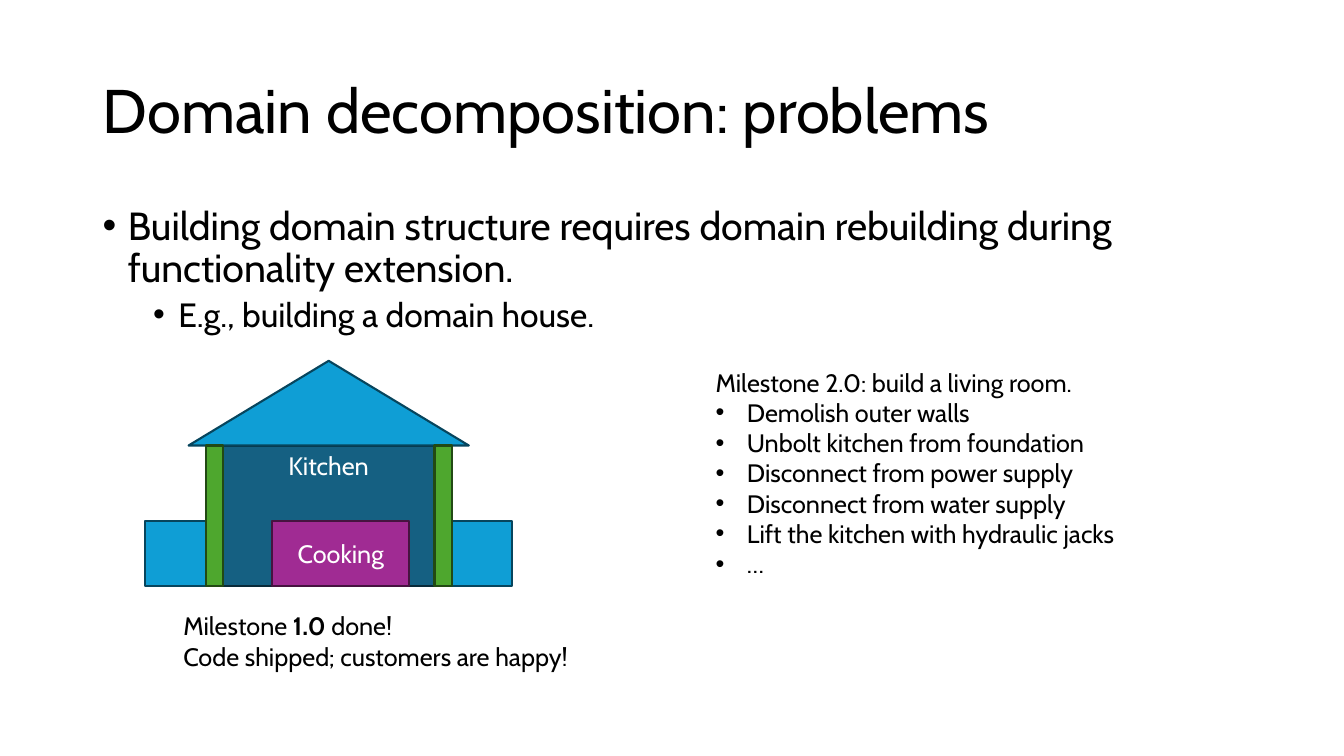
from lxml.etree import SubElement
from pptx import Presentation
from pptx.dml.color import RGBColor
from pptx.enum.shapes import MSO_SHAPE
from pptx.enum.text import MSO_ANCHOR, PP_ALIGN
from pptx.oxml.ns import qn
from pptx.util import Emu, Inches, Pt

FONT = "Cabin"
BLACK = RGBColor(0x00, 0x00, 0x00)
WHITE = RGBColor(0xFF, 0xFF, 0xFF)
# Each part of the house has a fill and an outline
SKY = RGBColor(0x0F, 0x9E, 0xD5), RGBColor(0x07, 0x45, 0x5D)
TEAL = RGBColor(0x15, 0x60, 0x82), RGBColor(0x09, 0x2A, 0x39)
GREEN = RGBColor(0x4E, 0xA7, 0x2E), RGBColor(0x22, 0x49, 0x14)
PURPLE = RGBColor(0xA0, 0x2B, 0x93), RGBColor(0x46, 0x13, 0x40)


def format_runs(paragraph, size, color=BLACK):
    for run in paragraph.runs:
        run.font.name = FONT
        run.font.size = Pt(size)
        run.font.color.rgb = color


def add_bullet(paragraph, margin, hanging):
    properties = paragraph._p.get_or_add_pPr()
    properties.set("marL", str(Inches(margin)))
    properties.set("indent", str(-Inches(hanging)))
    SubElement(properties, qn("a:buFont")).set("typeface", "Arial")
    SubElement(properties, qn("a:buChar")).set("char", "•")


def add_text(slide, box, lines):
    frame = slide.shapes.add_textbox(*map(Inches, box)).text_frame
    frame.word_wrap = True
    frame.text = "\n".join(lines)
    return frame.paragraphs


def add_part(slide, box, colors, label="", anchor=MSO_ANCHOR.MIDDLE,
             outline=MSO_SHAPE.RECTANGLE):
    part = slide.shapes.add_shape(outline, *map(Inches, box))
    part.shadow.inherit = False
    fill, line = colors
    part.fill.solid()
    part.fill.fore_color.rgb = fill
    part.line.color.rgb = line
    part.line.width = Pt(1.5)
    if label:
        part.text_frame.text = label
        part.text_frame.vertical_anchor = anchor
        caption = part.text_frame.paragraphs[0]
        caption.alignment = PP_ALIGN.CENTER
        format_runs(caption, 18, WHITE)


def add_title(slide, box, text):
    title = slide.shapes.title
    title.left, title.top, title.width, title.height = map(Inches, box)
    title.text_frame.text = text
    title.text_frame.vertical_anchor = MSO_ANCHOR.MIDDLE
    heading = title.text_frame.paragraphs[0]
    heading.alignment = PP_ALIGN.LEFT
    heading.line_spacing = 0.9
    format_runs(heading, 44)


def add_statement(slide, box):
    claim, example = add_text(slide, box, [
        "Building domain structure requires domain rebuilding during "
        "functionality extension.",
        "E.g., building a domain house.",
    ])
    example.level = 1
    example.space_before = Pt(5)
    for paragraph, margin, size in (claim, 0.25, 28), (example, 0.75, 24):
        add_bullet(paragraph, margin, 0.25)
        paragraph.line_spacing = 0.9
        format_runs(paragraph, size)


def add_house(slide, box):
    left, top, width, height = box
    center, ground = left + width / 2, top + height
    wing, wall, eaves = 0.6, 0.17, 0.17
    roof_height, low_height = 0.84, 0.64
    wall_top, wall_height = top + roof_height, height - roof_height
    low_top = ground - low_height
    wall_left, wall_right = left + wing, left + width - wing

    # Foundation wings beside the house
    for wing_left in (wall_right, left):
        add_part(slide, (wing_left, low_top, wing, low_height), SKY)
    # Kitchen under the roof
    add_part(slide, (wall_left + wall, wall_top,
                     width - 2 * (wing + wall), wall_height),
             TEAL, "Kitchen", MSO_ANCHOR.TOP)
    add_part(slide, (wall_left - eaves, top,
                     width - 2 * (wing - eaves), roof_height),
             SKY, outline=MSO_SHAPE.ISOSCELES_TRIANGLE)
    # Outer walls
    for outer_left in (wall_right - wall, wall_left):
        add_part(slide, (outer_left, wall_top, wall, wall_height), GREEN)
    # Cooking inside the kitchen
    cooking = 1.36
    add_part(slide, (center + 0.12 - cooking / 2, low_top, cooking, low_height),
             PURPLE, "Cooking")


def add_first_milestone(slide, box):
    done, shipped = add_text(slide, box, [
        "", "Code shipped; customers are happy!"])
    for text, bold in ("Milestone ", False), ("1.0", True), (" done!", False):
        run = done.add_run()
        run.text = text
        run.font.bold = bold
    for paragraph in (done, shipped):
        format_runs(paragraph, 18)


def add_second_milestone(slide, box):
    goal, *steps = add_text(slide, box, [
        "Milestone 2.0: build a living room.",
        "Demolish outer walls",
        "Unbolt kitchen from foundation",
        "Disconnect from power supply",
        "Disconnect from water supply",
        "Lift the kitchen with hydraulic jacks",
        "…",
    ])
    format_runs(goal, 18)
    for step in steps:
        add_bullet(step, 0.31, 0.31)
        format_runs(step, 18)


def main():
    presentation = Presentation()
    presentation.slide_width = Inches(13.33)
    presentation.slide_height = Inches(7.5)
    slide = presentation.slides.add_slide(presentation.slide_layouts[5])
    margin = 0.92
    add_title(slide, (margin, 0.4, 11.5, 1.45),
              "Domain decomposition: problems")
    add_statement(slide, (margin, 2, 11.5, 1.4))
    add_house(slide, (1.44, 3.58, 3.64, 2.23))
    add_first_milestone(slide, (1.72, 6.01, 4.33, 0.71))
    add_second_milestone(slide, (7, 3.59, 4.74, 2.52))
    presentation.save("out.pptx")


if __name__ == "__main__":
    main()
